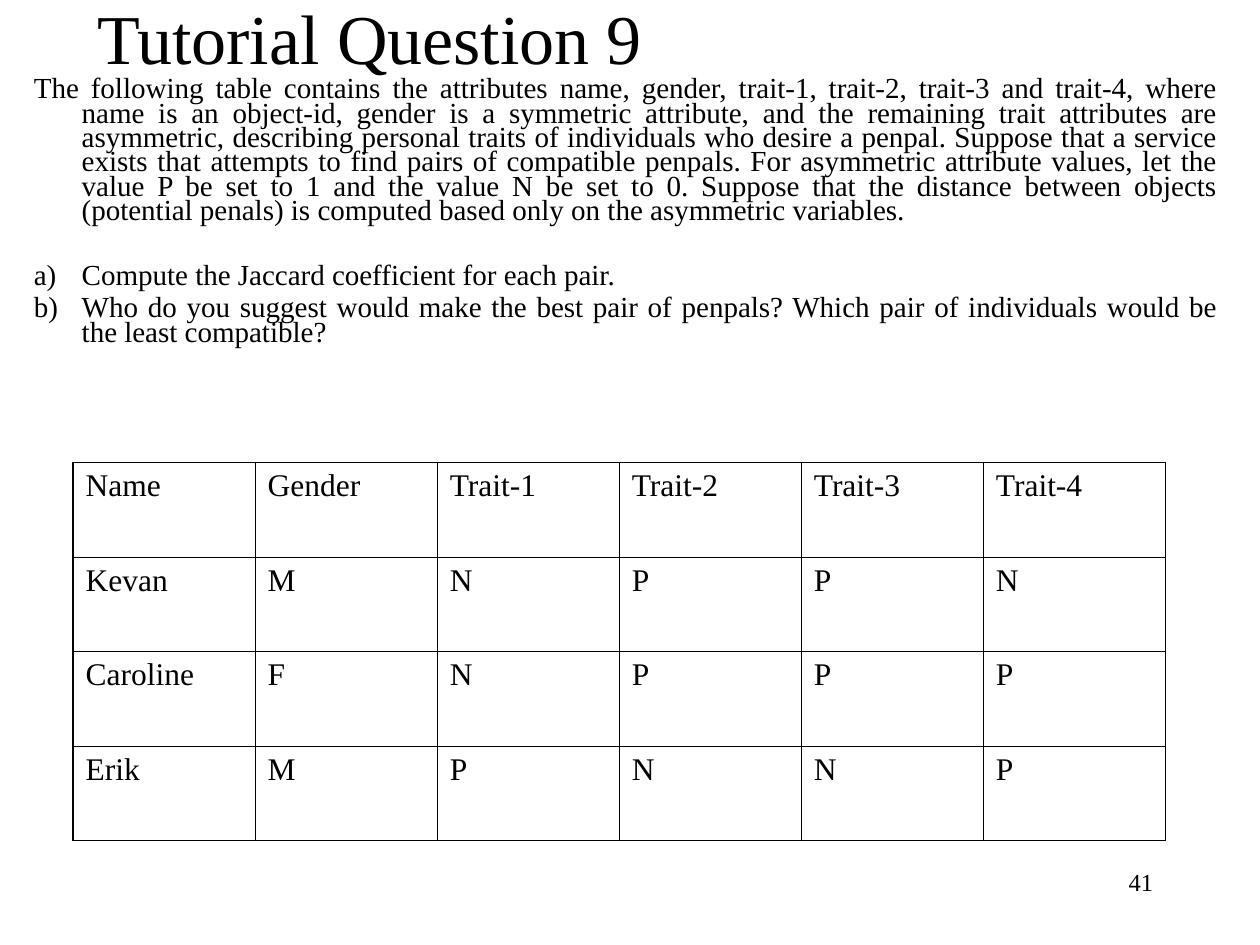
from lxml.etree import SubElement
from pptx import Presentation
from pptx.dml.color import RGBColor
from pptx.enum.text import MSO_ANCHOR, MSO_AUTO_SIZE, PP_ALIGN
from pptx.oxml.ns import qn
from pptx.util import Inches, Pt

BLACK = RGBColor(0, 0, 0)
FONT = "Times New Roman"
TITLE = "Tutorial Question 9"
PAGE_NUMBER = "41"
INTRO = (
    "The following table contains the attributes name, gender, trait-1, trait-2, "
    "trait-3 and trait-4, where name is an object-id, gender is a symmetric attribute, "
    "and the remaining trait attributes are asymmetric, describing personal traits of "
    "individuals who desire a penpal. Suppose that a service exists that attempts to "
    "find pairs of compatible penpals. For asymmetric attribute values, let the value P "
    "be set to 1 and the value N be set to 0. Suppose that the distance between objects "
    "(potential penals) is computed based only on the asymmetric variables."
)
TASKS = [
    "Compute the Jaccard coefficient for each pair.",
    "Who do you suggest would make the best pair of penpals? "
    "Which pair of individuals would be the least compatible?",
]
PEOPLE = [
    ("Name", "Gender", "Trait-1", "Trait-2", "Trait-3", "Trait-4"),
    ("Kevan", "M", "N", "P", "P", "N"),
    ("Caroline", "F", "N", "P", "P", "P"),
    ("Erik", "M", "P", "N", "N", "P"),
]
INNER, OUTER = Pt(0.45), Pt(1.08)


def format_text(paragraph, size, align=PP_ALIGN.LEFT, before=0):
    paragraph.alignment = align
    paragraph.space_before = Pt(before)
    for run in paragraph.runs:
        run.font.name = FONT
        run.font.size = Pt(size)
        run.font.color.rgb = BLACK


def add_text(slide, left, top, width, height):
    frame = slide.shapes.add_textbox(
        Inches(left), Inches(top), Inches(width), Inches(height)
    ).text_frame
    frame.word_wrap = True
    return frame


def hang(paragraph, lettered):
    properties = paragraph._p.get_or_add_pPr()
    properties.set("marL", str(Inches(0.38)))
    properties.set("indent", str(-Inches(0.38)))
    if lettered:
        SubElement(properties, qn("a:buFont"), typeface=FONT)
        SubElement(properties, qn("a:buAutoNum"), type="alphaLcParenR")


def set_borders(cell, widths):
    properties = cell._tc.get_or_add_tcPr()
    for position, (side, width) in enumerate(widths.items()):
        line = properties.makeelement(qn(f"a:{side}"), {"w": str(width)})
        fill = SubElement(line, qn("a:solidFill"))
        SubElement(fill, qn("a:srgbClr"), val=str(BLACK))
        properties.insert(position, line)


def add_title(slide):
    title = slide.shapes.title
    title.left, title.top = Inches(0.67), Inches(0)
    title.width, title.height = Inches(8.5), Inches(0.58)
    frame = title.text_frame
    frame.text = TITLE
    frame.auto_size = MSO_AUTO_SIZE.NONE
    frame.vertical_anchor = MSO_ANCHOR.MIDDLE
    format_text(frame.paragraphs[0], 40, PP_ALIGN.JUSTIFY)


def add_question(slide):
    frame = add_text(slide, 0.17, 0.58, 9.58, 2.33)
    frame.text = "\n".join([INTRO, *TASKS])
    for paragraph, before in zip(frame.paragraphs, (4.5, 23, 4.5)):
        format_text(paragraph, 16.6, PP_ALIGN.JUSTIFY, before)
        paragraph.line_spacing = 0.7
        hang(paragraph, paragraph.text in TASKS)


def add_people(slide):
    rows, columns = len(PEOPLE), len(PEOPLE[0])
    table = slide.shapes.add_table(
        rows, columns, Inches(0.58), Inches(3.67), Inches(8.67), Inches(3)
    ).table
    table.first_row = table.horz_banding = False
    for r, person in enumerate(PEOPLE):
        for c, value in enumerate(person):
            cell = table.cell(r, c)
            cell.text = value
            cell.fill.background()
            format_text(cell.text_frame.paragraphs[0], 18, before=4.5)
            set_borders(cell, {
                "lnL": OUTER if c == 0 else INNER,
                "lnR": OUTER if c == columns - 1 else INNER,
                "lnT": OUTER if r == 0 else INNER,
                "lnB": OUTER if r == rows - 1 else INNER,
            })


def add_page_number(slide):
    frame = add_text(slide, 7.17, 6.83, 2.08, 0.5)
    frame.text = PAGE_NUMBER
    format_text(frame.paragraphs[0], 14, PP_ALIGN.RIGHT)


def main():
    deck = Presentation()
    deck.slide_width, deck.slide_height = Inches(10), Inches(7.5)
    slide = deck.slides.add_slide(deck.slide_layouts.get_by_name("Title Only"))
    add_title(slide)
    add_question(slide)
    add_people(slide)
    add_page_number(slide)
    deck.save("out.pptx")


if __name__ == "__main__":
    main()
